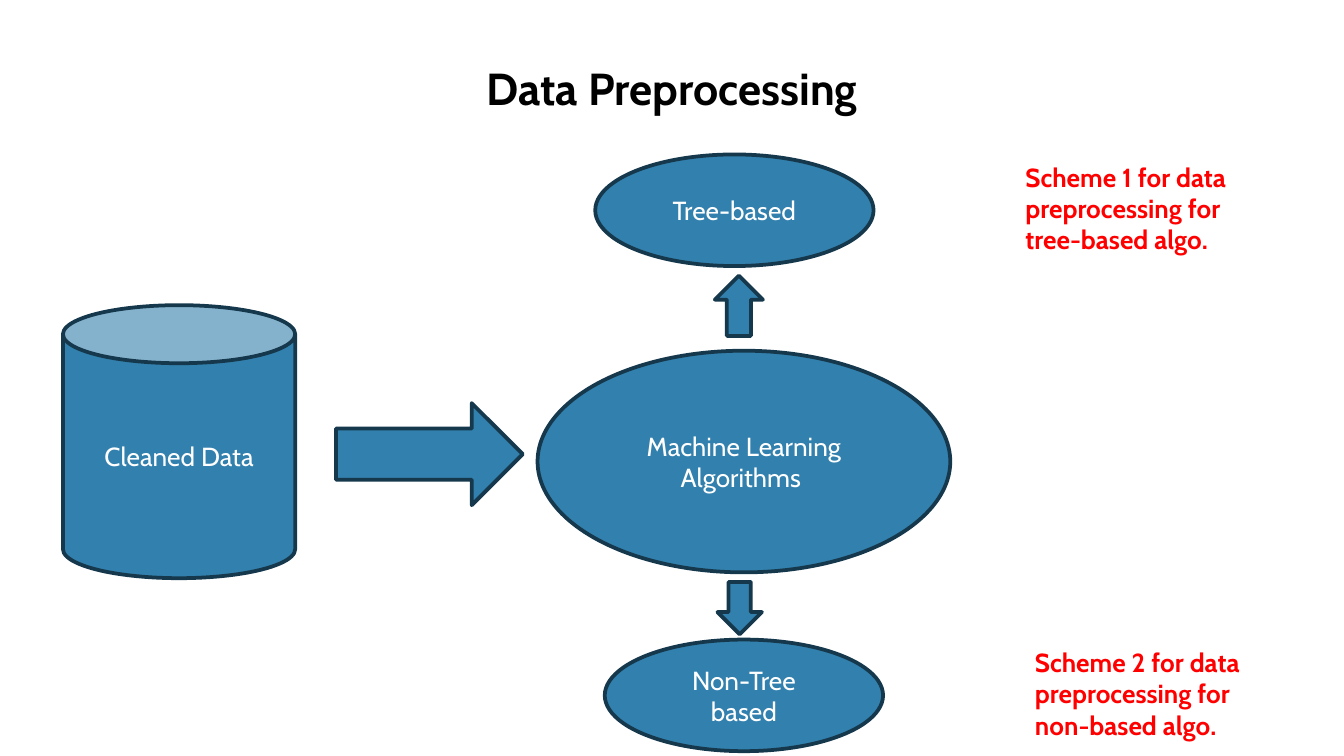
from dataclasses import dataclass

import pptx
import pptx.dml.color
import pptx.enum.shapes
import pptx.enum.text
import pptx.util

Cm = pptx.util.Cm
Pt = pptx.util.Pt
RGB = pptx.dml.color.RGBColor
SHAPE = pptx.enum.shapes.MSO_SHAPE
ALIGN = pptx.enum.text.PP_ALIGN
ANCHOR = pptx.enum.text.MSO_ANCHOR


@dataclass(frozen=True)
class Theme:
    """Colours, font and sizes of the slide."""
    font: str = "Cabin"
    title_size: int = 24
    body_size: int = 14
    outline_width: int = 2
    title: RGB = RGB(0x00, 0x00, 0x00)
    label: RGB = RGB(0xFF, 0xFF, 0xFF)
    note: RGB = RGB(0xFF, 0x00, 0x00)
    fill: RGB = RGB(0x32, 0x80, 0xAD)
    outline: RGB = RGB(0x16, 0x38, 0x4C)


THEME = Theme()


def write(frame, words, size, color, bold=False, align=ALIGN.CENTER):
    """Write one styled run into a text frame."""
    frame.word_wrap = True
    paragraph = frame.paragraphs[0]
    paragraph.alignment = align
    run = paragraph.add_run()
    run.text = words
    run.font.name = THEME.font
    run.font.size = Pt(size)
    run.font.bold = bold
    run.font.color.rgb = color


def add_node(slide, kind, box, words=""):
    """Add an outlined shape, labelled if words are given."""
    node = slide.shapes.add_shape(kind, *map(Cm, box))
    node.shadow.inherit = False
    node.fill.solid()
    node.fill.fore_color.rgb = THEME.fill
    node.line.color.rgb = THEME.outline
    node.line.width = Pt(THEME.outline_width)
    if words:
        node.text_frame.vertical_anchor = ANCHOR.MIDDLE
        write(node.text_frame, words, THEME.body_size, THEME.label)


def add_title(slide, box, words):
    """Add the centred slide title."""
    heading = slide.shapes.add_textbox(*map(Cm, box)).text_frame
    heading.vertical_anchor = ANCHOR.MIDDLE
    write(heading, words, THEME.title_size, THEME.title, bold=True)


def add_data_flow(slide, box):
    """Add the data store, the arrow and the algorithms hub from left to right."""
    left, top, width, height = box
    add_node(slide, SHAPE.CAN, (left, top, 4.39, height), "Cleaned Data")
    add_node(slide, SHAPE.RIGHT_ARROW, (left + 5.16, top + 1.85, 3.53, 1.93))
    hub_width = 7.8
    add_node(slide, SHAPE.OVAL, (left + width - hub_width, top + 0.86, hub_width, 4.19),
             "Machine Learning Algorithms ")


def add_branch(slide, box, family, scheme, arrow, arrow_box):
    """Add an algorithm family, its arrow placed from the box corner, and its scheme."""
    left, top, width, height = box
    dx, dy, arrow_width, arrow_height = arrow_box
    add_node(slide, arrow, (left + dx, top + dy, arrow_width, arrow_height))
    add_node(slide, SHAPE.OVAL, (left, top, 5.26, height), family)
    note_width = 4.7
    note_box = (left + width - note_width, top, note_width, 2.06)
    note = slide.shapes.add_textbox(*map(Cm, note_box)).text_frame
    note.auto_size = pptx.enum.text.MSO_AUTO_SIZE.SHAPE_TO_FIT_TEXT
    write(note, scheme, THEME.body_size, THEME.note, bold=True, align=ALIGN.LEFT)


def main():
    """Build and save the slide."""
    deck = pptx.Presentation()
    deck.slide_width, deck.slide_height = Cm(25.4), Cm(14.29)
    slide = deck.slides.add_slide(deck.slide_layouts[6])
    add_title(slide, (0.5, 0.86, 24.4, 1.6), "Data Preprocessing")
    add_data_flow(slide, (1.19, 5.77, 16.77, 5.16))
    add_branch(slide, (11.25, 2.92, 12.58, 2.11), "Tree-based",
               "Scheme 1 for data preprocessing for tree-based algo.",
               SHAPE.UP_ARROW, (2.26, 2.29, 0.91, 1.14))
    add_branch(slide, (11.43, 12.09, 12.58, 2.11), "Non-Tree based",
               "Scheme 2 for data preprocessing for non-based algo.",
               SHAPE.DOWN_ARROW, (2.13, -1.09, 0.84, 0.99))
    deck.save("out.pptx")


if __name__ == "__main__":
    main()
